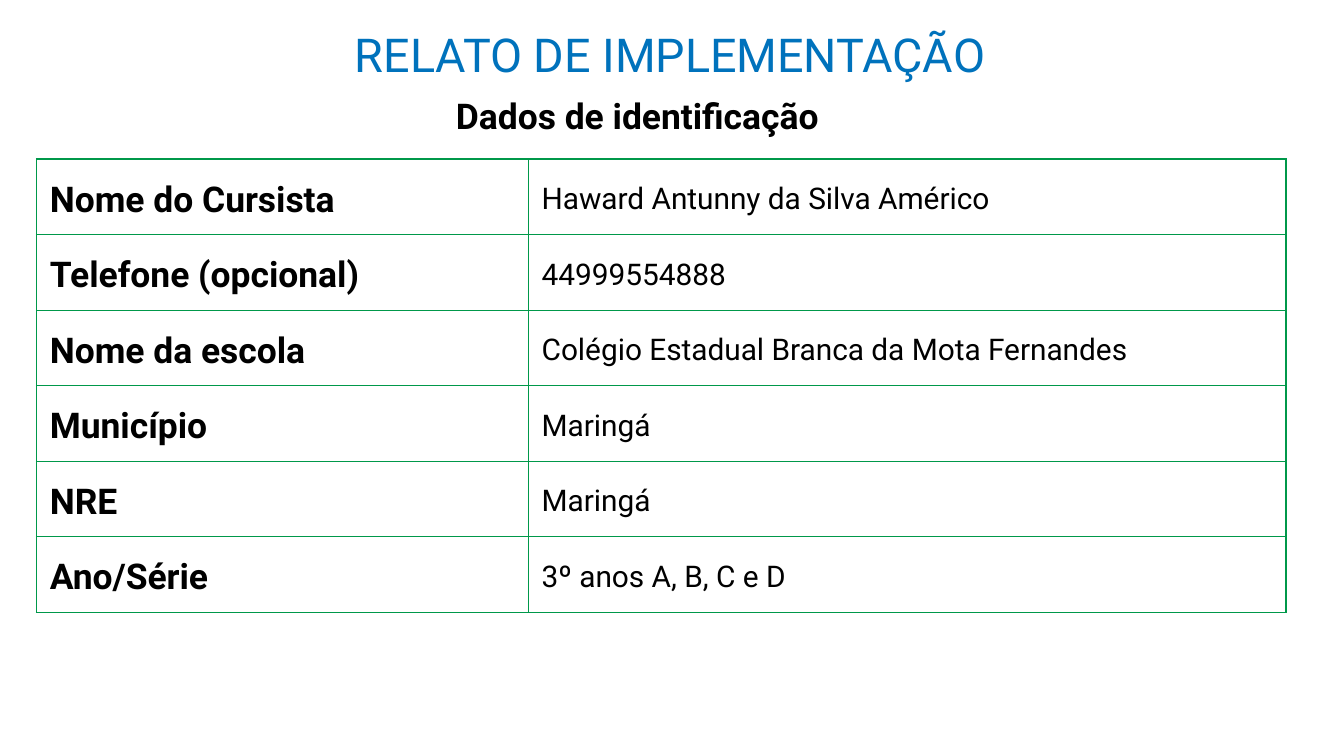
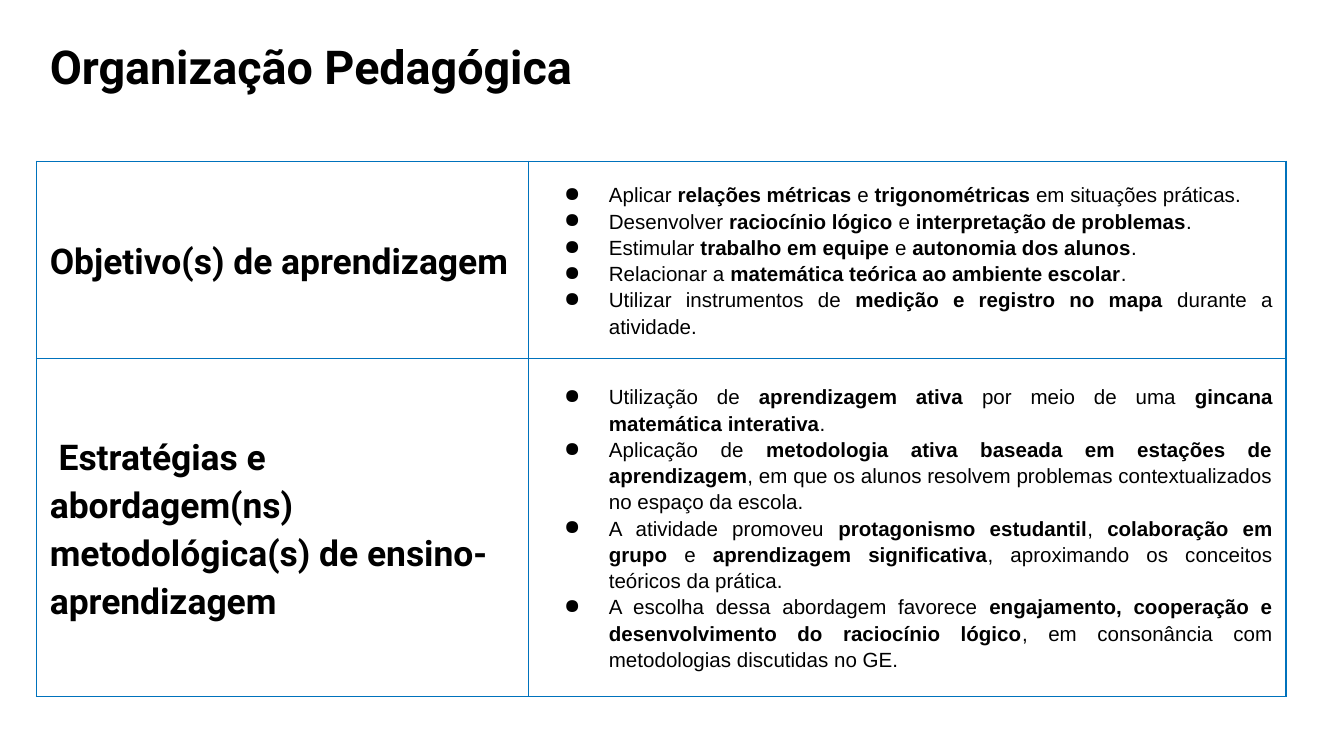
import pptx
import pptx.util
import pptx.dml.color
import pptx.enum.text
import pptx.oxml.ns
from lxml import etree

Pt = pptx.util.Pt
RGBColor = pptx.dml.color.RGBColor
ALIGN = pptx.enum.text.PP_ALIGN
ANCHOR = pptx.enum.text.MSO_ANCHOR
qn = pptx.oxml.ns.qn

BLACK = RGBColor(0x00, 0x00, 0x00)
BLUE = RGBColor(0x00, 0x72, 0xBC)
GREEN = RGBColor(0x00, 0x98, 0x4A)
HEAD_FONT, BODY_FONT = "Roboto", "Arial"

INSET = 7.2
TABLE_LEFT = 19.5
COLUMNS = (263.5, 406)
LABEL_SIZE, VALUE_SIZE, BULLET_SIZE = 19, 16, 11

REPORT_TITLE = "RELATO DE IMPLEMENTAÇÃO"
REPORT_SUBTITLE = "Dados de identificação"
IDENTIFICATION = [
    ("Nome do Cursista", "Haward Antunny da Silva Américo"),
    ("Telefone (opcional)", "44999554888"),
    ("Nome da escola", "Colégio Estadual Branca da Mota Fernandes"),
    ("Município", "Maringá"),
    ("NRE", "Maringá"),
    ("Ano/Série", "3º anos A, B, C e D"),
]

PEDAGOGY_TITLE = "Organização Pedagógica"
# Text between ** marks is bold.
PEDAGOGY = [
    ("Objetivo(s) de aprendizagem", [
        "Aplicar **relações métricas** e **trigonométricas** em situações práticas.",
        "Desenvolver **raciocínio lógico** e **interpretação de problemas**.",
        "Estimular **trabalho em equipe** e **autonomia dos alunos**.",
        "Relacionar a **matemática teórica ao ambiente escolar**.",
        "Utilizar instrumentos de **medição e registro no mapa** durante a atividade.",
    ]),
    (" Estratégias e abordagem(ns) metodológica(s) de ensino-aprendizagem", [
        "Utilização de **aprendizagem ativa** por meio de uma "
        "**gincana matemática interativa**.",
        "Aplicação de **metodologia ativa baseada em estações de aprendizagem**, "
        "em que os alunos resolvem problemas contextualizados no espaço da escola.",
        "A atividade promoveu **protagonismo estudantil**, **colaboração em grupo** e "
        "**aprendizagem significativa**, aproximando os conceitos teóricos da prática.",
        "A escolha dessa abordagem favorece **engajamento, cooperação e "
        "desenvolvimento do raciocínio lógico**, em consonância com "
        "metodologias discutidas no GE.",
    ]),
]


def style_font(font, size, name=HEAD_FONT, color=BLACK, bold=False):
    font.size, font.name, font.bold = Pt(size), name, bold
    font.color.rgb = color


def set_heading(sp, box, text, size, align, color=BLACK, bold=True):
    sp.left, sp.top, sp.width, sp.height = (Pt(v) for v in box)
    tf = sp.text_frame
    tf.text = text
    tf.word_wrap = True
    tf.auto_size = pptx.enum.text.MSO_AUTO_SIZE.NONE
    tf.vertical_anchor = ANCHOR.TOP
    tf.margin_left = tf.margin_right = tf.margin_top = tf.margin_bottom = Pt(INSET)
    p = tf.paragraphs[0]
    p.alignment = align
    style_font(p.runs[0].font, size, color=color, bold=bold)


def add_title_slide(prs, box, text, align, color, bold):
    s = prs.slides.add_slide(prs.slide_layouts[5])
    set_heading(s.shapes.title, box, text, 25, align, color, bold)
    return s


def set_borders(cell, color):
    tcPr = cell._tc.get_or_add_tcPr()
    for side in ("a:lnL", "a:lnR", "a:lnT", "a:lnB"):
        ln = etree.SubElement(tcPr, qn(side), w=str(Pt(0.75)))
        fill = etree.SubElement(ln, qn("a:solidFill"))
        etree.SubElement(fill, qn("a:srgbClr"), val=str(color))


def write_plain(tf, text, size, bold):
    tf.text = text
    p = tf.paragraphs[0]
    p.line_spacing, p.space_after = 1.15, Pt(10)
    style_font(p.runs[0].font, size, bold=bold)


def write_bullets(tf, items):
    for i, item in enumerate(items):
        p = tf.add_paragraph() if i else tf.paragraphs[0]
        p.alignment, p.line_spacing = ALIGN.JUSTIFY, 1.15
        pPr = p._p.get_or_add_pPr()
        pPr.set("marL", str(Pt(36)))
        pPr.set("indent", str(Pt(-24)))
        color = etree.SubElement(pPr, qn("a:buClr"))
        etree.SubElement(color, qn("a:srgbClr"), val=str(BLACK))
        etree.SubElement(pPr, qn("a:buChar"), char="●")
        for n, part in enumerate(item.split("**")):
            r = p.add_run()
            r.text = part
            style_font(r.font, BULLET_SIZE, BODY_FONT, bold=n % 2 == 1)


def add_label_table(s, top, heights, rows, border):
    """Two columns: a bold label, then a value or a list of bullets."""
    table = s.shapes.add_table(len(rows), 2, Pt(TABLE_LEFT), Pt(top),
                               Pt(sum(COLUMNS)), Pt(sum(heights))).table
    table.first_row = table.horz_banding = False
    for column, width in zip(table.columns, COLUMNS):
        column.width = Pt(width)
    for row, height, (label, value) in zip(table.rows, heights, rows):
        row.height = Pt(height)
        for cell in row.cells:
            set_borders(cell, border)
            cell.fill.background()
            cell.vertical_anchor = ANCHOR.MIDDLE
            cell.margin_left = cell.margin_right = Pt(INSET)
            cell.margin_top = cell.margin_bottom = Pt(INSET)
        write_plain(row.cells[0].text_frame, label, LABEL_SIZE, True)
        if isinstance(value, list):
            write_bullets(row.cells[1].text_frame, value)
        else:
            write_plain(row.cells[1].text_frame, value, VALUE_SIZE, False)


def main():
    prs = pptx.Presentation()
    prs.slide_width, prs.slide_height = Pt(720), Pt(405)

    s = add_title_slide(prs, (104.5, 6.5, 430.5, 44.5), REPORT_TITLE,
                        ALIGN.RIGHT, BLUE, False)
    set_heading(s.shapes.add_textbox(0, 0, 0, 0), (185, 43.2, 313, 37.5),
                REPORT_SUBTITLE, LABEL_SIZE, ALIGN.CENTER)
    add_label_table(s, 85.2, [40.5] * len(IDENTIFICATION), IDENTIFICATION, GREEN)

    s = add_title_slide(prs, (19.5, 13, 332, 44.5), PEDAGOGY_TITLE,
                        ALIGN.LEFT, BLACK, True)
    add_label_table(s, 86.4, (105.5, 181.3), PEDAGOGY, BLUE)

    prs.save("out.pptx")


if __name__ == "__main__":
    main()
